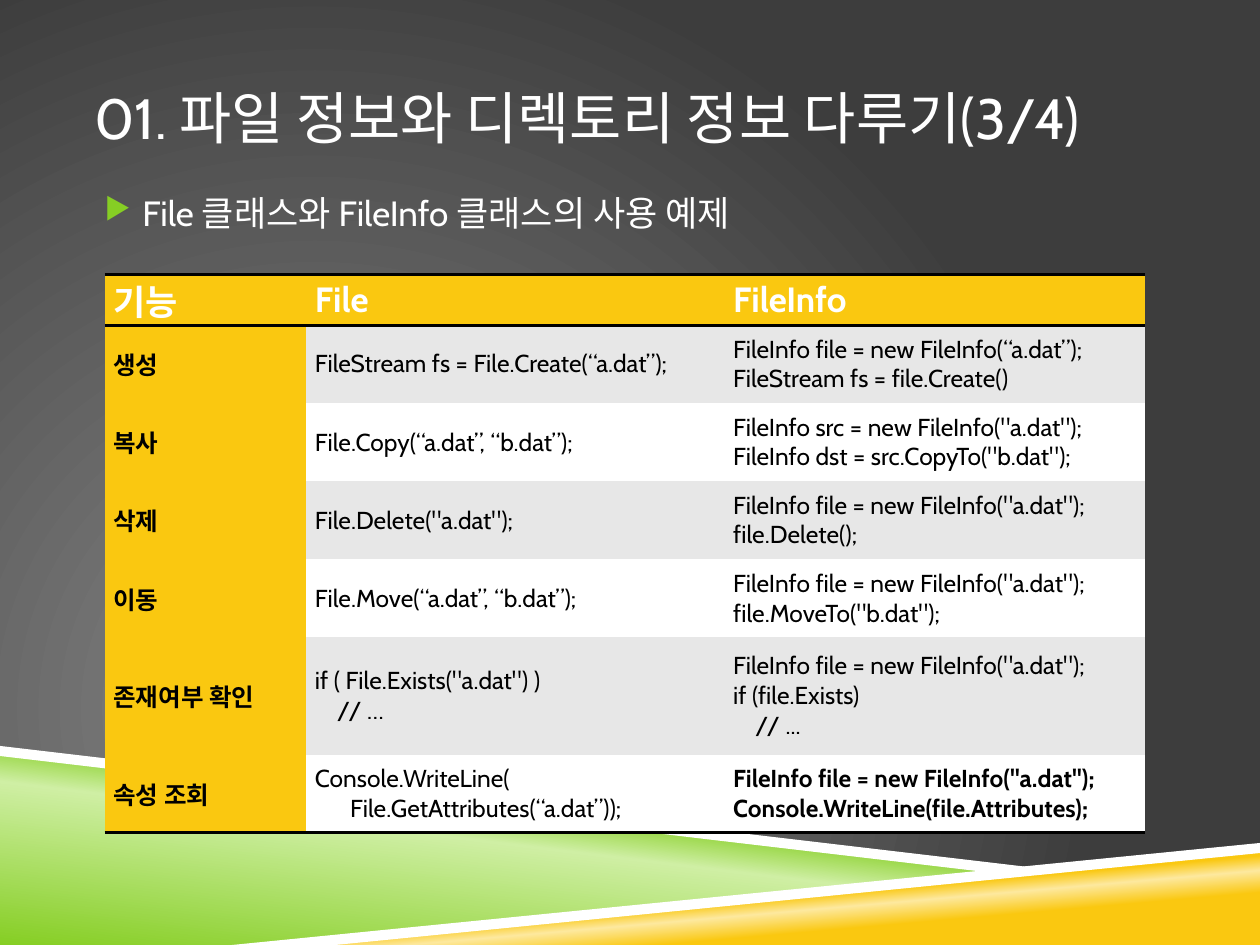
import pptx
import pptx.dml.color
import pptx.enum.text
import pptx.oxml
import pptx.oxml.ns
import pptx.util

PX = 9144  # 100 px to the inch
FONT = "Cabin"
WHITE, BLACK, GREY = "FFFFFF", "000000", "E7E7E7"
GREEN, YELLOW = "86CE24", "FAC810"
NO_STYLE = "{2D5ABB26-0587-4C30-8999-92F81FD0307C}"

HEADER = ["기능", "File", "FileInfo"]
EXAMPLES = [
    ["생성", "FileStream fs = File.Create(“a.dat”);",
     "FileInfo file = new FileInfo(“a.dat”);\nFileStream fs = file.Create()"],
    ["복사", "File.Copy(“a.dat”, “b.dat”);",
     'FileInfo src = new FileInfo("a.dat");\nFileInfo dst = src.CopyTo("b.dat");'],
    ["삭제", 'File.Delete("a.dat");',
     'FileInfo file = new FileInfo("a.dat");\nfile.Delete();'],
    ["이동", "File.Move(“a.dat”, “b.dat”);",
     'FileInfo file = new FileInfo("a.dat");\nfile.MoveTo("b.dat");'],
    ["존재여부 확인", 'if ( File.Exists("a.dat") )\n    // …',
     'FileInfo file = new FileInfo("a.dat");\nif (file.Exists)\n    // ...'],
    ["속성 조회", "Console.WriteLine(\nFile.GetAttributes(“a.dat”));",
     'FileInfo file = new FileInfo("a.dat");\nConsole.WriteLine(file.Attributes);'],
]


def px(length):
    return pptx.util.Emu(length * PX)


def color(value):
    return pptx.dml.color.RGBColor.from_string(value)


def xml(markup):
    """Parse one DrawingML element, written without its namespace declaration."""
    tag, rest = markup.split(">", 1)
    slash = "/" if tag.endswith("/") else ""
    return pptx.oxml.parse_xml(
        f'{tag.rstrip("/")} {pptx.oxml.ns.nsdecls("a")}{slash}>{rest}')


def set_gradient(owner, fill, stops, direction):
    """Give the fill of a shape or page these (percent, colour) stops."""
    fill.gradient()
    old = owner.element.find(".//" + pptx.oxml.ns.qn("a:gradFill"))
    marks = "".join(
        f'<a:gs pos="{percent * 1000}"><a:srgbClr val="{value}"/></a:gs>'
        for percent, value in stops)
    old.getparent().replace(old, xml(
        f'<a:gradFill rotWithShape="1"><a:gsLst>{marks}</a:gsLst>{direction}</a:gradFill>'))


def style(para, size, value, bold=False):
    para.font.name = FONT
    para.font.size = pptx.util.Pt(size)
    para.font.bold = bold
    para.font.color.rgb = color(value)


def draw_background(page):
    set_gradient(page, page.background.fill, [(0, "878787"), (100, "3D3D3D")],
                 '<a:path path="circle"><a:fillToRect l="50000" t="100000" '
                 'r="100000" b="50000"/></a:path>')


def add_band(page, points, stops=None, angle=0):
    """Add a borderless polygon: white, or with a linear gradient."""
    builder = page.shapes.build_freeform(*points[0], scale=PX)
    builder.add_line_segments(points[1:], close=True)
    band = builder.convert_to_shape()
    band.shadow.inherit = False
    band.line.fill.background()
    if stops:
        set_gradient(band, band.fill, stops,
                     f'<a:lin ang="{angle * 60000}" scaled="0"/>')
    else:
        band.fill.solid()
        band.fill.fore_color.rgb = color(WHITE)


def draw_bands(page):
    add_band(page, [(0, 597), (792, 692), (200, 750), (0, 750)],
             [(0, GREEN), (52, "CFEFA4"), (66, GREEN)], 277)
    add_band(page, [(198, 750), (1000, 672), (1000, 750)],
             [(28, YELLOW), (40, "FDE99F"), (48, YELLOW)], 265)
    add_band(page, [(0, 592), (0, 600), (790, 693), (832, 690)])
    add_band(page, [(1000, 669), (184, 750), (266, 750), (1000, 677)])


def add_text(page, left, top, width, height, text, size, anchor):
    box = page.shapes.add_textbox(px(left), px(top), px(width), px(height))
    frame = box.text_frame
    frame.word_wrap = True
    frame.vertical_anchor = anchor
    frame.margin_left = frame.margin_right = 0
    frame.margin_top = frame.margin_bottom = px(5)
    para = frame.paragraphs[0]
    para.text = text
    style(para, size, WHITE)
    return para


def add_bullet_text(page, left, top, width, height, text):
    para = add_text(page, left, top, width, height, text, 20,
                    pptx.enum.text.MSO_ANCHOR.TOP)
    properties = para._p.get_or_add_pPr()
    properties.set("marL", str(px(38)))
    properties.set("indent", str(px(-30)))
    bullet = [f'<a:buClr><a:srgbClr val="{GREEN}"/></a:buClr>',
              '<a:buSzPct val="85000"/>', '<a:buChar char="▶"/>']
    for position, markup in enumerate(bullet):
        properties.insert(position, xml(markup))


def fill_cell(cell, text, size, value, bold, fill, edges):
    """Write a cell; edges holds the tags of its black borders."""
    cell.vertical_anchor = pptx.enum.text.MSO_ANCHOR.MIDDLE
    cell.margin_left = cell.margin_right = px(7)
    cell.margin_top = cell.margin_bottom = 0
    cell.text = text
    for para in cell.text_frame.paragraphs:
        para.alignment = pptx.enum.text.PP_ALIGN.JUSTIFY
        style(para, size, value, bold)
    cell.fill.solid()
    cell.fill.fore_color.rgb = color(fill)
    properties = cell._tc.get_or_add_tcPr()
    for position, edge in enumerate(edges):
        properties.insert(position, xml(
            f'<a:{edge} w="{pptx.util.Pt(2)}"><a:solidFill><a:srgbClr val="{BLACK}"/>'
            f'</a:solidFill></a:{edge}>'))


def draw_table(page, left, top, widths, heights):
    frame = page.shapes.add_table(len(heights), len(widths), px(left), px(top),
                                  px(sum(widths)), px(sum(heights)))
    table = frame.table
    table.first_row = table.horz_banding = False
    table._tbl.tblPr.find(pptx.oxml.ns.qn("a:tableStyleId")).text = NO_STYLE
    for column, width in zip(table.columns, widths):
        column.width = px(width)
    for row, height in zip(table.rows, heights):
        row.height = px(height)

    for column, text in enumerate(HEADER):
        fill_cell(table.cell(0, column), text, 20, WHITE, True, YELLOW,
                  ["lnT", "lnB"])
    last = len(EXAMPLES)
    for row, texts in enumerate(EXAMPLES, 1):
        band = GREY if row % 2 else WHITE
        for column, text in enumerate(texts):
            bold = column == 0 or (row, column) == (last, 2)
            fill_cell(table.cell(row, column), text, 14, BLACK, bold,
                      band if column else YELLOW,
                      ["lnB"] if row == last else [])
    argument = table.cell(last, 1).text_frame.paragraphs[1]
    argument._p.get_or_add_pPr().set("indent", str(px(28)))


def main():
    deck = pptx.Presentation()
    deck.slide_width, deck.slide_height = px(1000), px(750)
    page = deck.slides.add_slide(deck.slide_layouts[6])
    draw_background(page)
    draw_bands(page)
    add_text(page, 75, 30, 850, 125, "01. 파일 정보와 디렉토리 정보 다루기(3/4)",
             32.4, pptx.enum.text.MSO_ANCHOR.MIDDLE)
    add_bullet_text(page, 75, 147, 850, 444, "File 클래스와 FileInfo 클래스의 사용 예제")
    draw_table(page, 83, 218, [160, 332, 334], [40, 62, 62, 62, 62, 93, 62])
    deck.save("out.pptx")


if __name__ == "__main__":
    main()
